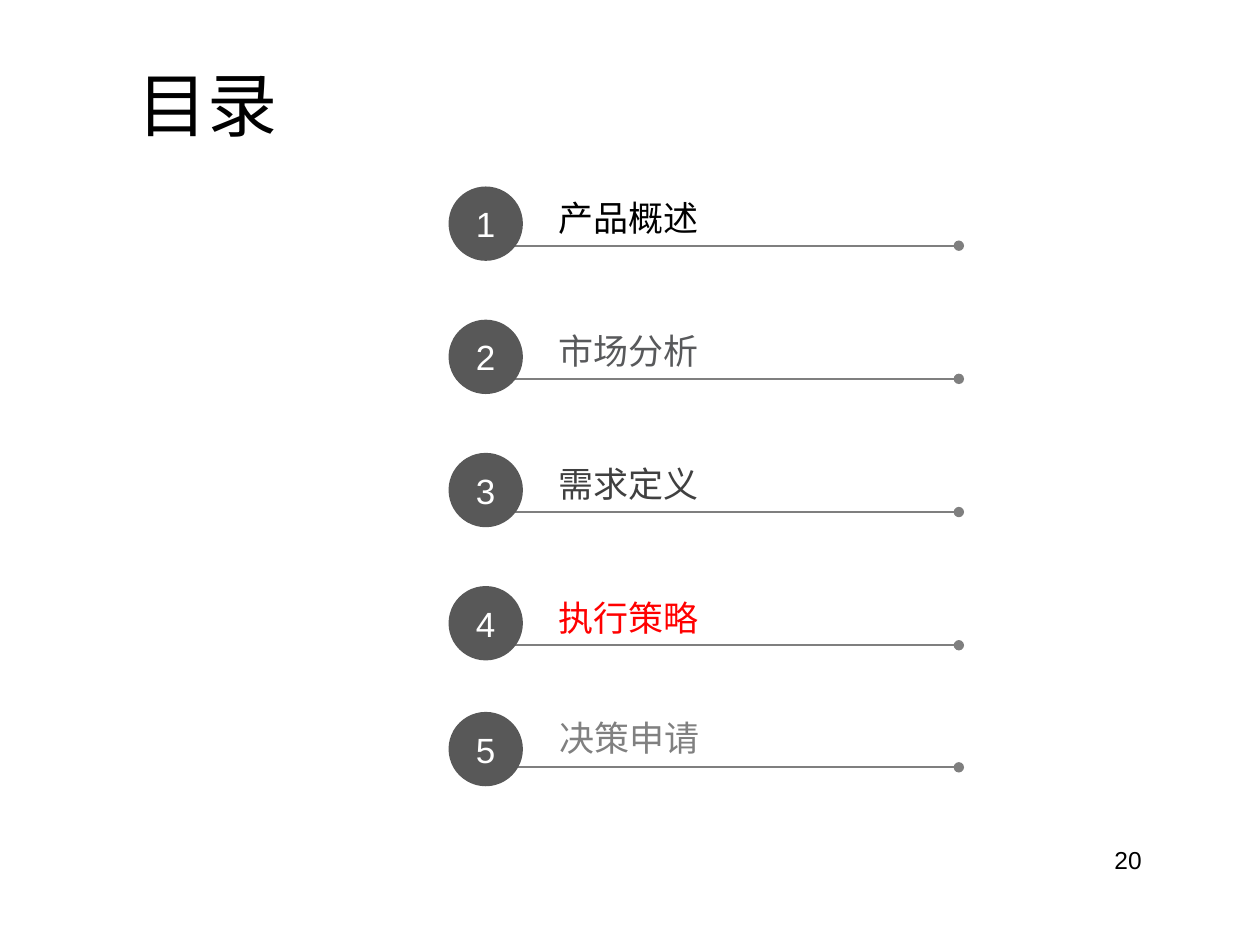
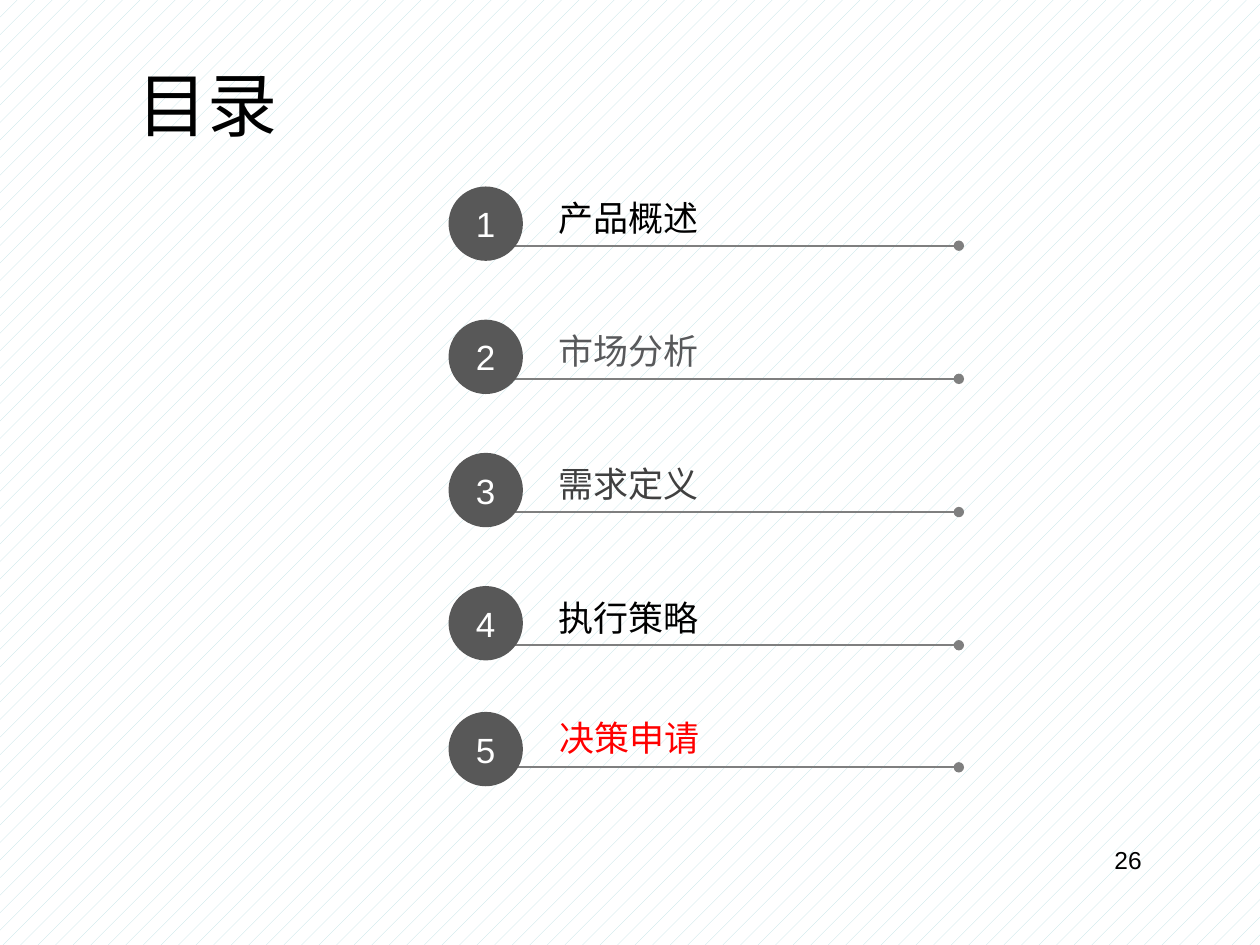
from pptx import Presentation
from pptx.util import Inches, Pt
from pptx.dml.color import RGBColor as Rgb
from pptx.enum.dml import MSO_PATTERN as Pat
from pptx.enum.shapes import MSO_SHAPE as Geo, MSO_CONNECTOR as Conn
from pptx.enum.text import PP_ALIGN as Al, MSO_ANCHOR as Anc, MSO_AUTO_SIZE as Fit
from pptx.oxml.ns import qn
from lxml.etree import SubElement as Sub

INK = {
    "white": "FFFFFF", "black": "000000", "mint": "BBE0E3", "red": "FF0000",
    "disc": "585858", "rule": "7F7F7F", "slate": "58595B", "coal": "404040",
    "ash": "808080",
}
COLS, ROWS = 100, 75
LATIN, HAN = "Arial", "Noto Sans CJK SC"

# Agenda grid, in columns and rows
TOP, STEP, SIZE = 14.8, 10.57, 5.9
LAST = 56.5
WIDE, NARROW = (1, 0.5), (0.7, 0.4)

# Label, usual ink, label width
TOPICS = [
    ("产品概述", "black", 27.7),
    ("市场分析", "slate", 37.2),
    ("需求定义", "coal", 27.7),
    ("执行策略", "black", 27.7),
    ("决策申请", "ash", 27.7),
]


def ink(name):
    return Rgb.from_string(INK[name])


class Deck:
    def __init__(self):
        self.prs = Presentation()
        self.prs.slide_width, self.prs.slide_height = Inches(10), Inches(7.5)
        self.page = None

    def x(self, cols):
        return int(self.prs.slide_width * cols / COLS)

    def y(self, rows):
        return int(self.prs.slide_height * rows / ROWS)

    def box(self, col, row, wide, high):
        return self.x(col), self.y(row), self.x(wide), self.y(high)

    def start(self, hatched):
        self.page = self.prs.slides.add_slide(self.prs.slide_layouts[6])
        fill = self.page.background.fill
        if hatched:
            fill.patterned()
            fill.pattern = Pat.PERCENT_5
            fill.fore_color.rgb = ink("mint")
            fill.back_color.rgb = ink("white")
        else:
            fill.solid()
            fill.fore_color.rgb = ink("white")

    def letter(self, shape, words, size, color, font=LATIN, align=Al.LEFT, pad=WIDE):
        frame = shape.text_frame
        frame.word_wrap = True
        frame.margin_left = frame.margin_right = self.x(pad[0])
        frame.margin_top = frame.margin_bottom = self.y(pad[1])
        para = frame.paragraphs[0]
        para.alignment = align
        run = para.add_run()
        run.text = words
        run.font.name, run.font.size = font, Pt(size)
        run.font.color.rgb = ink(color)
        Sub(run._r.get_or_add_rPr(), qn("a:ea"), typeface=HAN)
        return frame

    def text(self, place, words, size, color, grow=True, **style):
        shape = self.page.shapes.add_textbox(*self.box(*place))
        frame = self.letter(shape, words, size, color, **style)
        if grow:
            frame.auto_size = Fit.SHAPE_TO_FIT_TEXT

    def disc(self, col, row, words):
        shape = self.page.shapes.add_shape(Geo.OVAL, *self.box(col, row, SIZE, SIZE))
        shape.shadow.inherit = False
        shape.fill.solid()
        shape.fill.fore_color.rgb = ink("disc")
        shape.line.fill.background()
        frame = self.letter(shape, words, 20, "white", align=Al.CENTER, pad=NARROW)
        frame.vertical_anchor = Anc.MIDDLE

    def rule(self, left, right, row):
        line = self.page.shapes.add_connector(
            Conn.STRAIGHT, self.x(left), self.y(row), self.x(right), self.y(row))
        line.line.color.rgb = ink("rule")
        line.line.width = Pt(1)
        props = line._element.spPr
        Sub(props.find(qn("a:ln")), qn("a:tailEnd"), type="oval")
        Sub(props, qn("a:effectLst"))

    def topic(self, num, label, color, wide):
        # The closing topic sits a little tighter than the even rows
        last = num == len(TOPICS)
        row = LAST if last else TOP + (num - 1) * STEP
        self.text((43.7 if last else 43.6, row + (0 if last else 0.4), wide, 4.3),
                  label, 20, color, font=HAN, pad=NARROW)
        self.rule(40.6, 76.1, row + (4.4 if last else 4.7))
        self.disc(35.6, row, str(num))

    def agenda(self, number, active, hatched=False):
        self.start(hatched)
        self.text((68.3, 66.6, 23.3, 5.2), number, 14, "black",
                  grow=False, align=Al.RIGHT)
        self.text((3.5, 4.4, 26, 7.7), "目录", 40, "black", align=Al.CENTER)
        for num, (label, color, wide) in enumerate(TOPICS, 1):
            self.topic(num, label, "red" if num == active else color, wide)


def main():
    deck = Deck()
    deck.agenda("20", active=4)
    deck.agenda("26", active=5, hatched=True)
    deck.prs.save("out.pptx")


if __name__ == "__main__":
    main()
